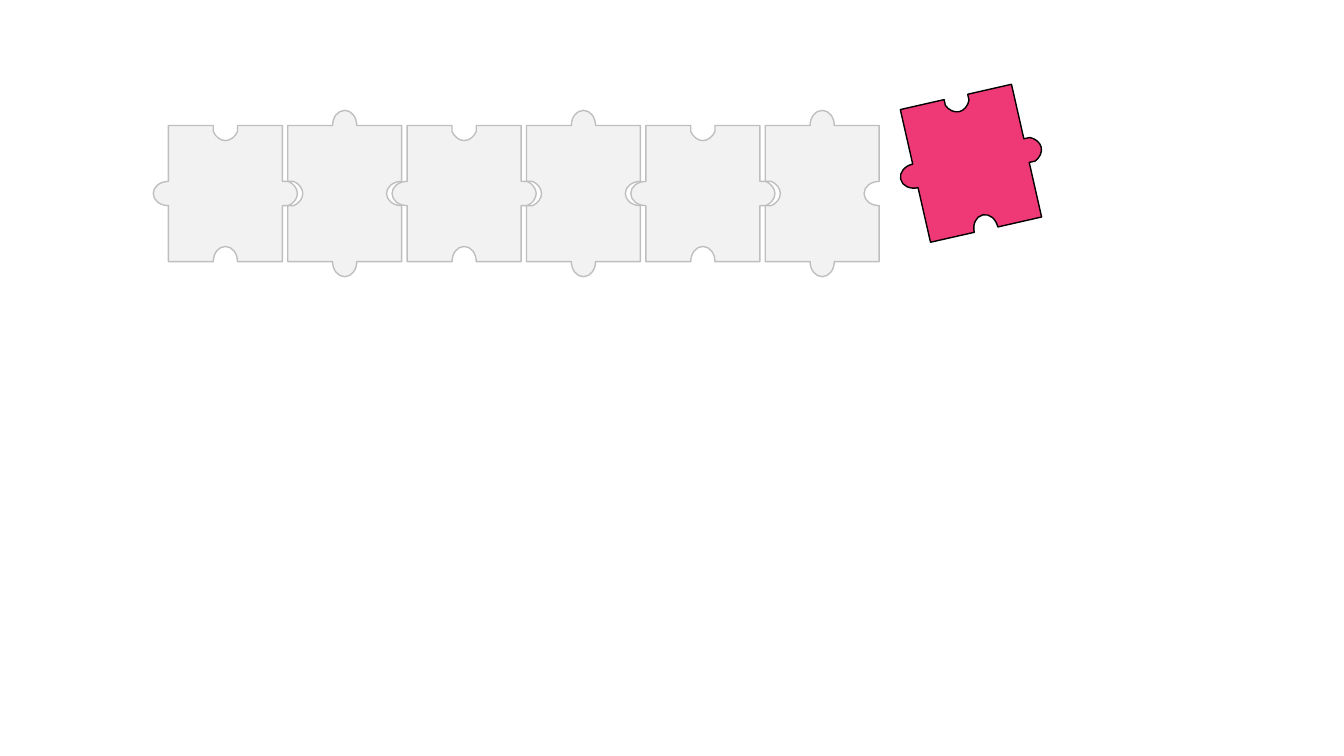
from lxml.etree import SubElement
from pptx import Presentation
from pptx.dml.color import RGBColor as Color
from pptx.oxml.ns import qn
from pptx.util import Inches, Pt

COLORS = {"grey": "F2F2F2", "edge": "BFBFBF", "pink": "EF3976", "black": "000000"}
PAGE_WIDTH, PAGE_HEIGHT = 13.33, 7.5
SHORT, LONG = 1.13, 1.35
PIECE_COUNT = 6
FIRST_LEFT, LAST_LEFT = 1.67, 7.59
COLUMN = (LAST_LEFT - FIRST_LEFT) / (PIECE_COUNT - 1)
ROW_MIDDLE = 1.92
LOOSE_CENTER = (9.63, 1.62)
LOOSE_TURN = 77.2
SIDES = {"top": (0, -1), "right": (1, 0), "bottom": (0, 1), "left": (-1, 0)}
ROUND = [(-0.12, 0), (-0.12, 0.08), (-0.07, 0.15), (0, 0.15)]
NECKED = [(-0.12, 0), (-0.12, 0.06), (-0.1, 0.11), (-0.05, 0.15), (0, 0.15)]


class Puzzle:
    """Draws jigsaw pieces on one slide in a shared style."""

    def __init__(self):
        self.deck = Presentation()
        self.deck.slide_width = Inches(PAGE_WIDTH)
        self.deck.slide_height = Inches(PAGE_HEIGHT)
        self.page = self.deck.slides.add_slide(self.deck.slide_layouts[6])

    def side(self, center, size, normal, necked):
        """Return one side's points and the positions where curves begin."""
        out_x, out_y = normal
        reach, half_side = (size[0] / 2, size[1] / 2) if out_x else (size[1] / 2, size[0] / 2)
        bulge = 1 if out_y else -1
        half = NECKED if necked else ROUND
        mirrored = [(-shift, lift) for shift, lift in reversed(half[:-1])]
        profile = [(-half_side, 0), *half, *mirrored]
        points = [
            (
                Inches(center[0] - out_y * shift + out_x * (reach + bulge * lift)),
                Inches(center[1] + out_x * shift + out_y * (reach + bulge * lift)),
            )
            for shift, lift in profile
        ]
        apex = len(half)
        return points, (apex - 2, apex + 1)

    def bend(self, shape, starts):
        """Turn the three line segments at each start into one curve."""
        lines = list(shape.element.iter(qn("a:lnTo")))
        for start in starts:
            group = lines[start - 1:start + 2]
            curve = SubElement(group[0].getparent(), qn("a:cubicBezTo"))
            group[0].addprevious(curve)
            for line in group:
                curve.append(line[0])
                line.getparent().remove(line)

    def piece(self, center, size, necks, fill, edge, turn=0):
        """Add a piece with knobs above and below and notches at its sides."""
        points, starts = [], []
        for name, normal in SIDES.items():
            corners, curves = self.side(center, size, normal, name in necks)
            starts += [len(points) + curve for curve in curves]
            points += corners
        builder = self.page.shapes.build_freeform(*points[0])
        builder.add_line_segments(points[1:], close=True)
        shape = builder.convert_to_shape()
        self.bend(shape, starts)
        shape.shadow.inherit = False
        shape.rotation = turn
        for part, color in ((shape.fill, fill), (shape.line.fill, edge)):
            part.solid()
            part.fore_color.rgb = Color.from_string(COLORS[color])
        shape.line.width = Pt(1)


def main():
    puzzle = Puzzle()
    upright = ((SHORT, LONG), ("left",))
    lying = ((LONG, SHORT), ("top", "left"))
    for index in range(PIECE_COUNT):
        center = (FIRST_LEFT + index * COLUMN + SHORT / 2, ROW_MIDDLE)
        (size, necks), turn = (upright, 0) if index % 2 else (lying, 90)
        puzzle.piece(center, size, necks, "grey", "edge", turn)
    puzzle.piece(LOOSE_CENTER, *lying, "pink", "black", LOOSE_TURN)
    puzzle.deck.save("out.pptx")


if __name__ == "__main__":
    main()
